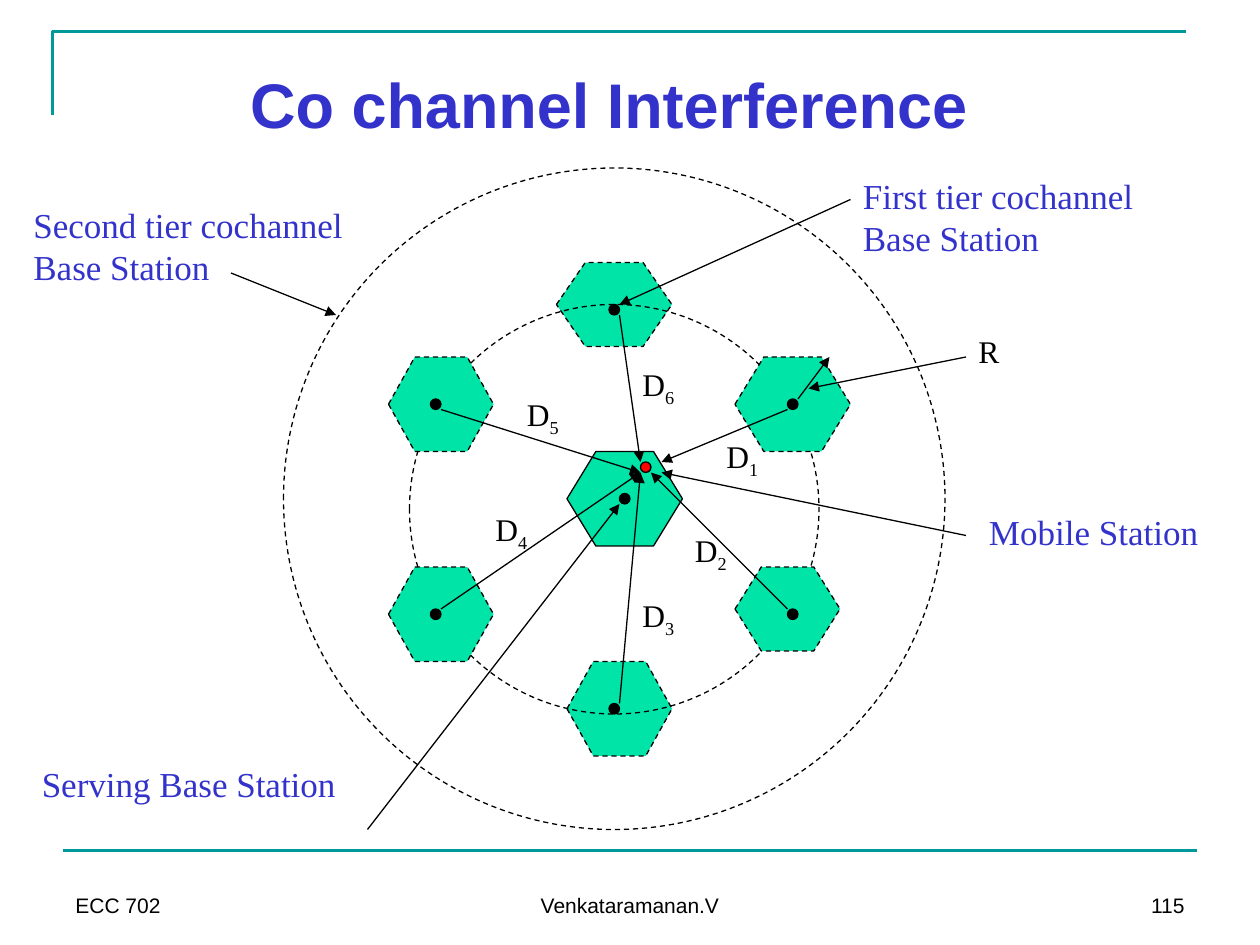
from lxml import etree
from pptx import Presentation
from pptx import util as u
from pptx.dml.color import RGBColor
from pptx.enum import dml, shapes, text
from pptx.oxml import ns

prs = Presentation()
prs.slide_width, prs.slide_height = u.Inches(10), u.Inches(7.5)
s = prs.slides.add_slide(prs.slide_layouts[5])
cell = prs.slide_width / 120
INK, BLUE, TEAL, GREEN, RED = "000000", "3333CC", "009999", "00E4A8", "FF0000"
SERIF, SANS = "Times New Roman", "Arial"
HEXAGON, OVAL = shapes.MSO_SHAPE.HEXAGON, shapes.MSO_SHAPE.OVAL
LEFT, CENTER, RIGHT = text.PP_ALIGN.LEFT, text.PP_ALIGN.CENTER, text.PP_ALIGN.RIGHT
TOP, BOTTOM = text.MSO_ANCHOR.TOP, text.MSO_ANCHOR.BOTTOM


def paint(target, color, width=None, dashed=False):
    if width is None:
        target.solid()
        target.fore_color.rgb = RGBColor.from_string(color)
    else:
        target.color.rgb = RGBColor.from_string(color)
        target.width = u.Pt(width)
        if dashed:
            target.dash_style = dml.MSO_LINE.DASH


def write(sp, box, runs, size, font, color, align=LEFT, anchor=TOP, bold=False):
    sp.left, sp.top, sp.width, sp.height = [round(n * cell) for n in box]
    tf = sp.text_frame
    tf.word_wrap = True
    tf.auto_size = text.MSO_AUTO_SIZE.NONE
    tf.vertical_anchor = anchor
    p = tf.paragraphs[0]
    p.alignment = align
    for i, words in enumerate(runs):
        r = p.add_run()
        r.text = words
        r.font.size, r.font.name, r.font.bold = u.Pt(size), font, bold
        r.font.color.rgb = RGBColor.from_string(color)
        if i:
            r.font._element.set("baseline", "-25000")


builder = s.shapes.build_freeform(5, 11, scale=cell)
builder.add_line_segments([(5, 3), (113, 3)], close=False)
corner = builder.convert_to_shape()
corner.shadow.inherit = False
corner.fill.background()
paint(corner.line, TEAL, 1.5)

write(s.shapes.title, (7, 4, 102, 10), ["Co channel Interference"],
      36, SANS, BLUE, CENTER, BOTTOM, True)

for kind, box, fill, dashed in [
    (HEXAGON, (54, 43, 11, 9), GREEN, False),
    (HEXAGON, (53, 25, 11, 8), GREEN, True),
    (HEXAGON, (54, 63, 10, 9), GREEN, True),
    (OVAL, (39, 29, 39, 39), None, True),
    (HEXAGON, (70, 34, 11, 9), GREEN, True),
    (HEXAGON, (70, 54, 10, 8), GREEN, True),
    (HEXAGON, (37, 34, 10, 9), GREEN, True),
    (HEXAGON, (37, 54, 10, 9), GREEN, True),
    (OVAL, (59, 47, 1, 1), INK, False),
    (OVAL, (61, 44, 1, 1), RED, False),
    (OVAL, (41, 38, 1, 1), INK, False),
    (OVAL, (58, 29, 1, 1), INK, False),
    (OVAL, (41, 58, 1, 1), INK, False),
    (OVAL, (58, 67, 1, 1), INK, False),
    (OVAL, (75, 58, 1, 1), INK, False),
    (OVAL, (75, 38, 1, 1), INK, False),
    (OVAL, (27, 16, 63, 63), None, True),
]:
    sp = s.shapes.add_shape(kind, *[round(n * cell) for n in box])
    sp.shadow.inherit = False
    if kind == HEXAGON:
        sp.adjustments[0] = 0.25 * box[2] / box[3]
    if fill:
        paint(sp.fill, fill)
    else:
        sp.fill.background()
    paint(sp.line, INK, 0.75, dashed)

for ends, color, width, arrow in [
    ((6, 81, 114, 81), TEAL, 1.5, False),
    ((42, 39, 61, 45), INK, 0.75, True),
    ((59, 30, 61, 44), INK, 0.75, True),
    ((42, 58, 61, 45), INK, 0.75, True),
    ((59, 67, 61, 45), INK, 0.75, True),
    ((75, 58, 62, 45), INK, 0.75, True),
    ((75, 39, 63, 44), INK, 0.75, True),
    ((92, 51, 63, 45), INK, 0.75, True),
    ((35, 79, 59, 48), INK, 0.75, True),
    ((81, 19, 59, 29), INK, 0.75, True),
    ((22, 26, 32, 30), INK, 0.75, True),
    ((76, 38, 79, 34), INK, 0.75, True),
    ((92, 34, 77, 37), INK, 0.75, True),
]:
    line = s.shapes.add_connector(shapes.MSO_CONNECTOR.STRAIGHT,
                                  *[round(n * cell) for n in ends])
    paint(line.line, color, width)
    if arrow:
        etree.SubElement(line.line._get_or_add_ln(), ns.qn("a:tailEnd"), type="triangle")
    etree.SubElement(line._element.spPr, ns.qn("a:effectLst"))

for box, runs, size, font, color, align, anchor in [
    ((93, 48, 26, 5.2), ["Mobile Station"], 20, SERIF, BLUE, LEFT, TOP),
    ((2.8, 72, 31, 5.2), ["Serving Base Station"], 20, SERIF, BLUE, LEFT, TOP),
    ((81, 16, 30, 9.2), ["First tier cochannel Base Station"], 20, SERIF, BLUE, LEFT, TOP),
    ((2, 18.8, 34, 9.2), ["Second tier cochannel Base Station"], 20, SERIF, BLUE, LEFT, TOP),
    ((92, 31, 5, 4.8), ["R"], 18, SERIF, INK, LEFT, TOP),
    ((68, 41, 7, 4.8), ["D", "1"], 18, SERIF, INK, LEFT, TOP),
    ((65, 50, 7, 4.8), ["D", "2"], 18, SERIF, INK, LEFT, TOP),
    ((60, 56.2, 7, 4.8), ["D", "3"], 18, SERIF, INK, LEFT, TOP),
    ((46, 48, 7, 4.8), ["D", "4"], 18, SERIF, INK, LEFT, TOP),
    ((49, 37, 7, 4.8), ["D", "5"], 18, SERIF, INK, LEFT, TOP),
    ((60, 34.2, 7, 4.8), ["D", "6"], 18, SERIF, INK, LEFT, TOP),
    ((6, 82, 28, 6), ["ECC 702"], 12, SANS, INK, LEFT, BOTTOM),
    ((41, 82, 38, 6), ["Venkataramanan.V"], 12, SANS, INK, CENTER, BOTTOM),
    ((86, 82, 28, 6), ["115"], 12, SANS, INK, RIGHT, BOTTOM),
]:
    sp = s.shapes.add_textbox(0, 0, 0, 0)
    write(sp, box, runs, size, font, color, align, anchor)

prs.save("out.pptx")
